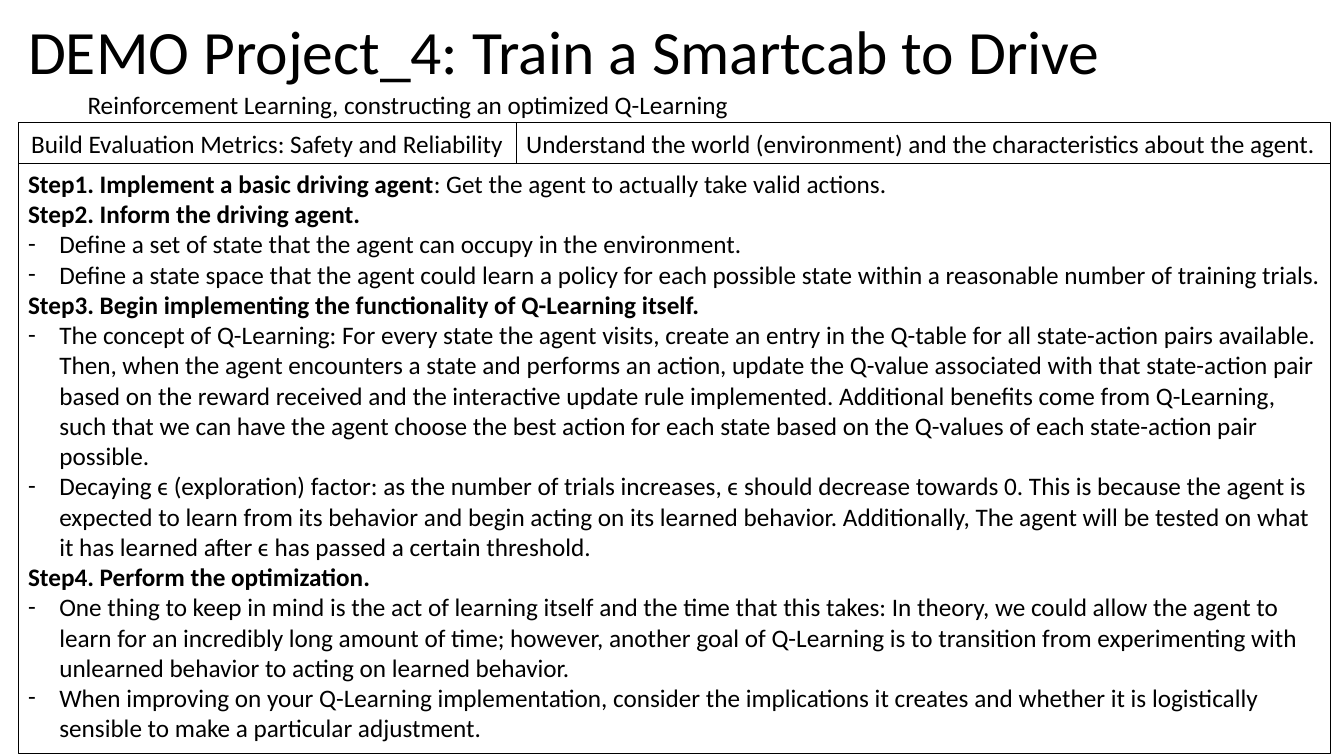
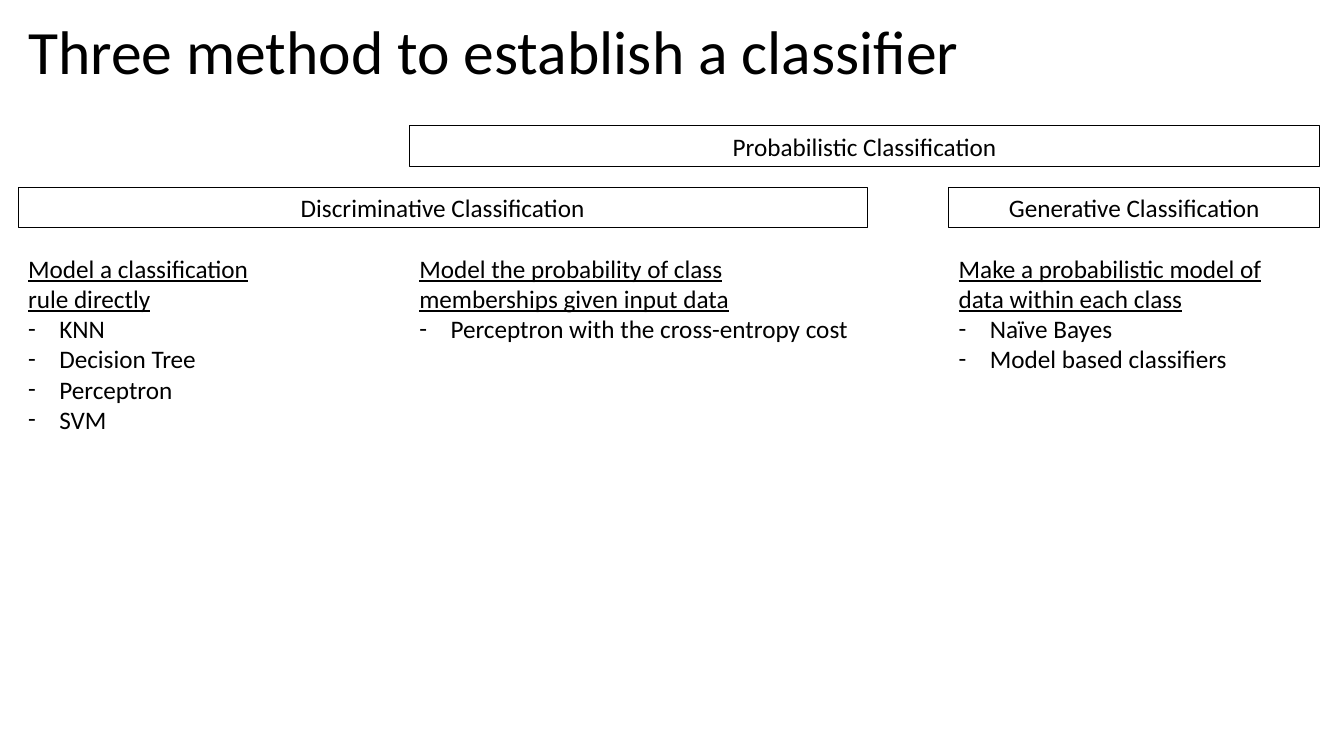
from lxml import etree
from pptx import Presentation
from pptx.dml.color import RGBColor
from pptx.enum.text import MSO_ANCHOR, MSO_AUTO_SIZE, PP_ALIGN
from pptx.oxml.ns import qn
from pptx.util import Emu, Pt

LEFT, CENTER = PP_ALIGN.LEFT, PP_ALIGN.CENTER
TOP, MIDDLE = MSO_ANCHOR.TOP, MSO_ANCHOR.MIDDLE
FIT_SHAPE, FIXED = MSO_AUTO_SIZE.SHAPE_TO_FIT_TEXT, MSO_AUTO_SIZE.NONE

PX = 9144  # 100 px to the inch
FONT = "Calibri"
INK = "000000"
TITLE_SIZE, BODY_SIZE = 44, 18
MARGIN = 18
BAR_H = 40
INDENT = 31

STEPS = [
    ("Step1. Implement a basic driving agent",
     ": Get the agent to actually take valid actions.", []),
    ("Step2. Inform the driving agent.", "", [
        "Define a set of state that the agent can occupy in the environment.",
        "Define a state space that the agent could learn a policy for each possible state "
        "within a reasonable number of training trials.",
    ]),
    ("Step3. Begin implementing the functionality of Q-Learning itself.", "", [
        "The concept of Q-Learning: For every state the agent visits, create an entry in the "
        "Q-table for all state-action pairs available. Then, when the agent encounters a state "
        "and performs an action, update the Q-value associated with that state-action pair "
        "based on the reward received and the interactive update rule implemented. Additional "
        "benefits come from Q-Learning, such that we can have the agent choose the best action "
        "for each state based on the Q-values of each state-action pair possible.",
        "Decaying ϵ (exploration) factor: as the number of trials increases, ϵ should decrease "
        "towards 0. This is because the agent is expected to learn from its behavior and begin "
        "acting on its learned behavior. Additionally, The agent will be tested on what it has "
        "learned after ϵ has passed a certain threshold.",
    ]),
    ("Step4. Perform the optimization.", "", [
        "One thing to keep in mind is the act of learning itself and the time that this takes: "
        "In theory, we could allow the agent to learn for an incredibly long amount of time; "
        "however, another goal of Q-Learning is to transition from experimenting with unlearned "
        "behavior to acting on learned behavior.",
        "When improving on your Q-Learning implementation, consider the implications it creates "
        "and whether it is logistically sensible to make a particular adjustment.",
    ]),
]

# left, width, height, section
METHODS = [
    (18, 245, 192, ("Model a classification rule directly", "",
                    ["KNN", "Decision Tree", "Perceptron", "SVM"])),
    (406, 455, 101, ("Model the probability of class memberships given input data", "",
                     ["Perceptron with the cross-entropy cost"])),
    (941, 368, 131, ("Make a probabilistic model of data within each class", "",
                     ["Naïve Bayes", "Model based classifiers"])),
]

# left, top, width, label
FAMILIES = [
    (406, 125, 903, "Probabilistic Classification"),
    (18, 186, 842, "Discriminative Classification"),
    (941, 186, 368, "Generative Classification"),
]


def px(n):
    return Emu(n * PX)


def color(value):
    return RGBColor.from_string(value)


def add_box(slide, box, outlined=False):
    sp = slide.shapes.add_textbox(*map(px, box))
    tf = sp.text_frame
    tf.word_wrap = True
    tf.vertical_anchor = TOP
    tf.auto_size = FIT_SHAPE
    if outlined:
        sp.line.color.rgb = color(INK)
        sp.line.width = Pt(0.75)
    return tf


def add_run(p, text, size=BODY_SIZE, bold=False, underline=False):
    r = p.add_run()
    r.text = text
    r.font.name = FONT
    r.font.size = Pt(size)
    r.font.color.rgb = color(INK)
    r.font.bold = bold
    r.font.underline = underline


def add_label(slide, box, text, align=LEFT, outlined=True):
    p = add_box(slide, box, outlined).paragraphs[0]
    p.alignment = align
    add_run(p, text)


def add_title(slide, text):
    tf = add_box(slide, (MARGIN, 14, 1291, 80))
    tf.auto_size = FIXED
    tf.vertical_anchor = MIDDLE
    p = tf.paragraphs[0]
    p.line_spacing = 0.9
    add_run(p, text, TITLE_SIZE)


def set_dash(p):
    pPr = p._p.get_or_add_pPr()
    pPr.set("marL", str(px(INDENT)))
    pPr.set("indent", str(-px(INDENT)))
    etree.SubElement(pPr, qn("a:buFont")).set("typeface", FONT)
    etree.SubElement(pPr, qn("a:buChar")).set("char", "-")


def add_sections(tf, sections, **heading_style):
    """Write headings, each followed by its dashed points."""
    p = tf.paragraphs[0]
    for i, (heading, rest, points) in enumerate(sections):
        if i:
            p = tf.add_paragraph()
        add_run(p, heading, **heading_style)
        if rest:
            add_run(p, rest)
        for point in points:
            p = tf.add_paragraph()
            set_dash(p)
            add_run(p, point)


def add_step_panel(slide, left, top, width, height):
    """Two header cells above one cell holding all the steps."""
    split = 494
    add_label(slide, (left, top, split, BAR_H),
              "Build Evaluation Metrics: Safety and Reliability", CENTER)
    add_label(slide, (left + split, top, width - split, BAR_H),
              "Understand the world (environment) and the characteristics about the agent.")
    body = (left, top + BAR_H, width, height - BAR_H)
    add_sections(add_box(slide, body, outlined=True), STEPS, bold=True)


def build_project_slide(slide):
    add_title(slide, "DEMO Project_4: Train a Smartcab to Drive")
    add_label(slide, (77, 84, 834, BAR_H),
              "Reinforcement Learning, constructing an optimized Q-Learning", outlined=False)
    add_step_panel(slide, MARGIN, 122, 1302, 626)


def build_classifier_slide(slide):
    add_title(slide, "Three method to establish a classifier")
    for left, top, width, label in FAMILIES:
        add_label(slide, (left, top, width, BAR_H), label, CENTER)
    for left, width, height, section in METHODS:
        add_sections(add_box(slide, (left, 246, width, height)), [section], underline=True)


def main():
    prs = Presentation()
    prs.slide_width, prs.slide_height = px(1333), px(750)
    for build in (build_project_slide, build_classifier_slide):
        build(prs.slides.add_slide(prs.slide_layouts[6]))
    prs.save("out.pptx")


if __name__ == "__main__":
    main()
